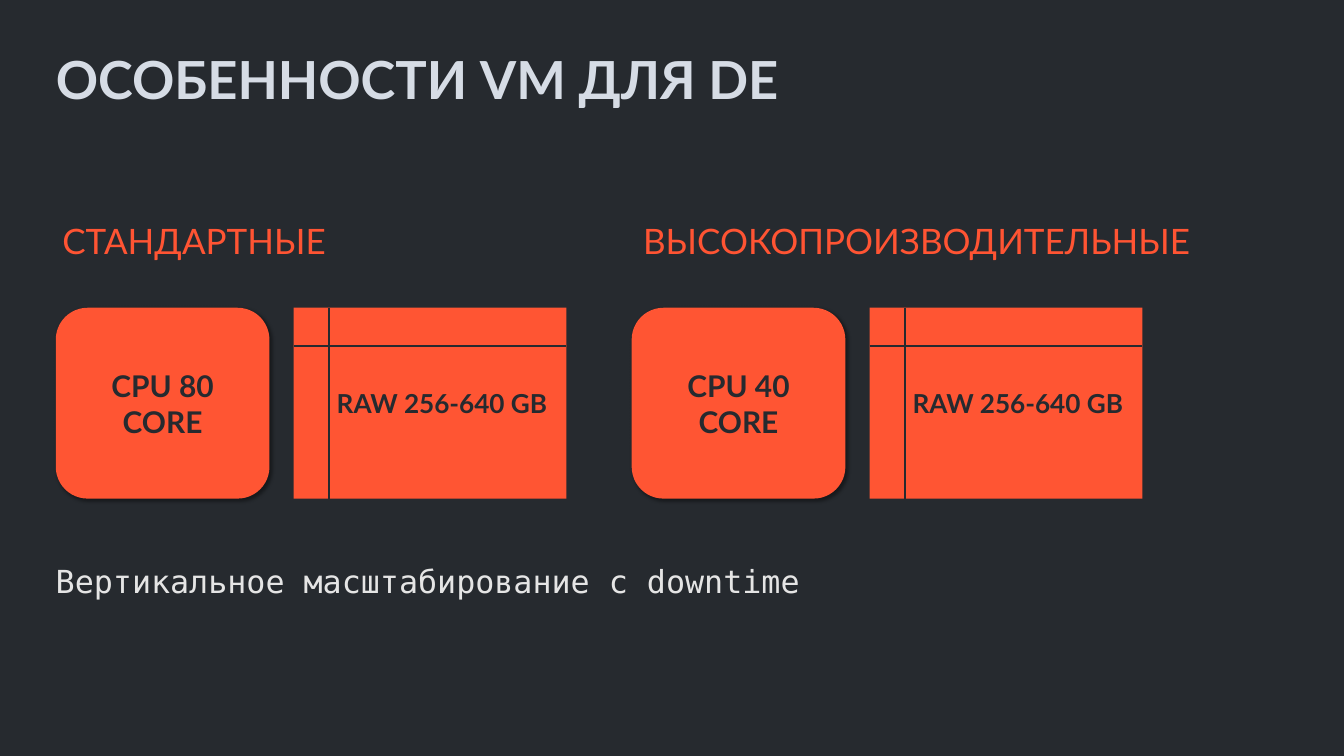
import lxml.etree
import pptx
import pptx.dml.color
import pptx.enum.shapes
import pptx.enum.text
import pptx.oxml
import pptx.oxml.ns
import pptx.util

Inches = pptx.util.Inches
Pt = pptx.util.Pt
RGBColor = pptx.dml.color.RGBColor
Shapes = pptx.enum.shapes.MSO_SHAPE
Align = pptx.enum.text.PP_ALIGN
Anchor = pptx.enum.text.MSO_ANCHOR

BACKGROUND = RGBColor(0x26, 0x2A, 0x2F)
TITLE_GREY = RGBColor(0xD6, 0xDC, 0xE5)
ORANGE = RGBColor(0xFF, 0x55, 0x33)
HEADING_ORANGE = RGBColor(0xFF, 0x54, 0x33)
NOTE_GREY = RGBColor(0xE5, 0xE5, 0xE5)

LEFT = 0.83
COLUMN_STEP = 8.57
CARD_TOP = 4.58
CARD_HEIGHT = 2.84

VM_TYPES = [
    ("СТАНДАРТНЫЕ", "CPU 80 CORE", LEFT, 4.56),
    ("ВЫСОКОПРОИЗВОДИТЕЛЬНЫЕ", "CPU 40 CORE", 9.47, 9.28),
]
MEMORY = "RAW 256-640 GB"

FLUSH = dict.fromkeys(("margin_left", "margin_top", "margin_right", "margin_bottom"), 0)
TITLE = {
    "frame": {**FLUSH, "vertical_anchor": Anchor.TOP},
    "paragraph": {"alignment": Align.LEFT, "line_spacing": Pt(56.3)},
    "font": {"name": "Lato", "size": Pt(56.2), "bold": True},
    "color": TITLE_GREY,
}
HEADING = {
    "frame": {"vertical_anchor": Anchor.MIDDLE},
    "paragraph": {"line_spacing": 0.9, "space_before": Pt(15)},
    "font": {"name": "Lato", "size": Pt(37.5)},
    "color": HEADING_ORANGE,
}
CPU = {
    "frame": {
        "vertical_anchor": Anchor.MIDDLE,
        "margin_left": Inches(0.3),
        "margin_right": Inches(0.3),
    },
    "paragraph": {"alignment": Align.CENTER},
    "font": {"name": "Lato", "size": Pt(32), "bold": True},
    "color": BACKGROUND,
}
RAM = {
    "frame": {"vertical_anchor": Anchor.MIDDLE, "margin_left": Inches(0.45)},
    "paragraph": {"alignment": Align.CENTER},
    "font": {"name": "Lato", "size": Pt(28), "bold": True},
    "color": BACKGROUND,
}
NOTE = {
    "frame": FLUSH,
    "paragraph": {"space_after": Pt(16)},
    "font": {"name": "DejaVu Sans Mono", "size": Pt(34)},
    "color": NOTE_GREY,
}

CARD_SHADOW = (
    f"<a:effectLst {pptx.oxml.ns.nsdecls('a')}>"
    '<a:outerShdw blurRad="50800" dist="38100" dir="2700000" algn="tl" rotWithShape="0">'
    '<a:srgbClr val="000000"><a:alpha val="40000"/></a:srgbClr>'
    "</a:outerShdw></a:effectLst>"
)


def apply_format(target, values):
    for name, value in values.items():
        setattr(target, name, value)


def write_text(shape, text, style):
    frame = shape.text_frame
    frame.word_wrap = True
    frame.auto_size = pptx.enum.text.MSO_AUTO_SIZE.NONE
    apply_format(frame, style["frame"])
    paragraph = frame.paragraphs[0]
    apply_format(paragraph, style["paragraph"])
    run = paragraph.add_run()
    run.text = text
    apply_format(run.font, style["font"])
    run.font.color.rgb = style["color"]


def place_title(slide, text, left, top, width, height):
    title = slide.shapes.title
    box = {"left": left, "top": top, "width": width, "height": height}
    apply_format(title, {side: Inches(length) for side, length in box.items()})
    write_text(title, text, TITLE)


def add_label(slide, text, style, *box):
    label = slide.shapes.add_textbox(*map(Inches, box))
    write_text(label, text, style)


def add_card(shapes, preset, text, style, *box):
    card = shapes.add_shape(preset, *map(Inches, box))
    card.shadow.inherit = False
    card.fill.solid()
    card.fill.fore_color.rgb = ORANGE
    card.line.fill.background()
    write_text(card, text, style)
    return card


def add_cpu_card(slide, text, *box):
    card = add_card(slide.shapes, Shapes.ROUNDED_RECTANGLE, text, CPU, *box)
    properties = card._element.spPr
    properties.remove(properties.find(pptx.oxml.ns.qn("a:effectLst")))
    properties.append(pptx.oxml.parse_xml(CARD_SHADOW))


def add_ram_card(slide, text, left, top, width, height):
    group = slide.shapes.add_group_shape()
    add_card(group.shapes, Shapes.RECTANGLE, text, RAM, left, top, width, height)
    column, row = left + 0.53, top + 0.57
    for ends in (
        (column, top, column, top + height),
        (left, row, left + width, row),
    ):
        divider = group.shapes.add_connector(
            pptx.enum.shapes.MSO_CONNECTOR.STRAIGHT, *map(Inches, ends)
        )
        divider.line.color.rgb = BACKGROUND
        divider.line.width = Pt(2.25)
        lxml.etree.SubElement(
            divider._element.spPr, pptx.oxml.ns.qn("a:effectLst")
        )


def add_vm_cards(slide, cpu, left, top, height):
    add_cpu_card(slide, cpu, left, top, 3.18, height)
    add_ram_card(slide, MEMORY, left + 3.54, top, 4.06, height)


def main():
    deck = pptx.Presentation()
    deck.slide_width = Inches(20)
    deck.slide_height = Inches(11.25)
    slide = deck.slides.add_slide(deck.slide_layouts[5])
    slide.background.fill.solid()
    slide.background.fill.fore_color.rgb = BACKGROUND

    place_title(slide, "ОСОБЕННОСТИ VM ДЛЯ DE", LEFT, 0.85, 17.92, 1.97)
    for index, (heading, cpu, heading_left, heading_width) in enumerate(VM_TYPES):
        add_label(slide, heading, HEADING, heading_left, 3, heading_width, 1.24)
        add_vm_cards(slide, cpu, LEFT + index * COLUMN_STEP, CARD_TOP, CARD_HEIGHT)
    add_label(
        slide, "Вертикальное масштабирование с downtime", NOTE, LEFT, 8.36, 16.76, 2.5
    )
    deck.save("out.pptx")


if __name__ == "__main__":
    main()
